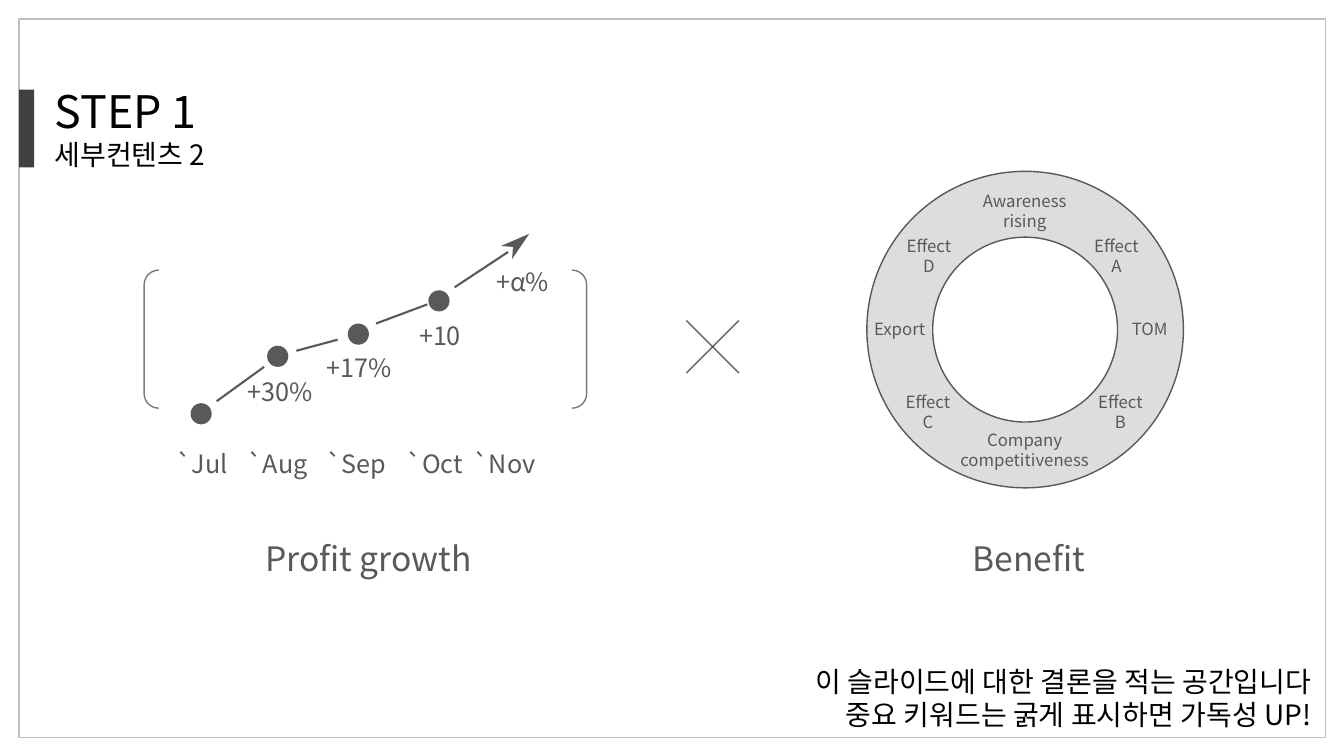
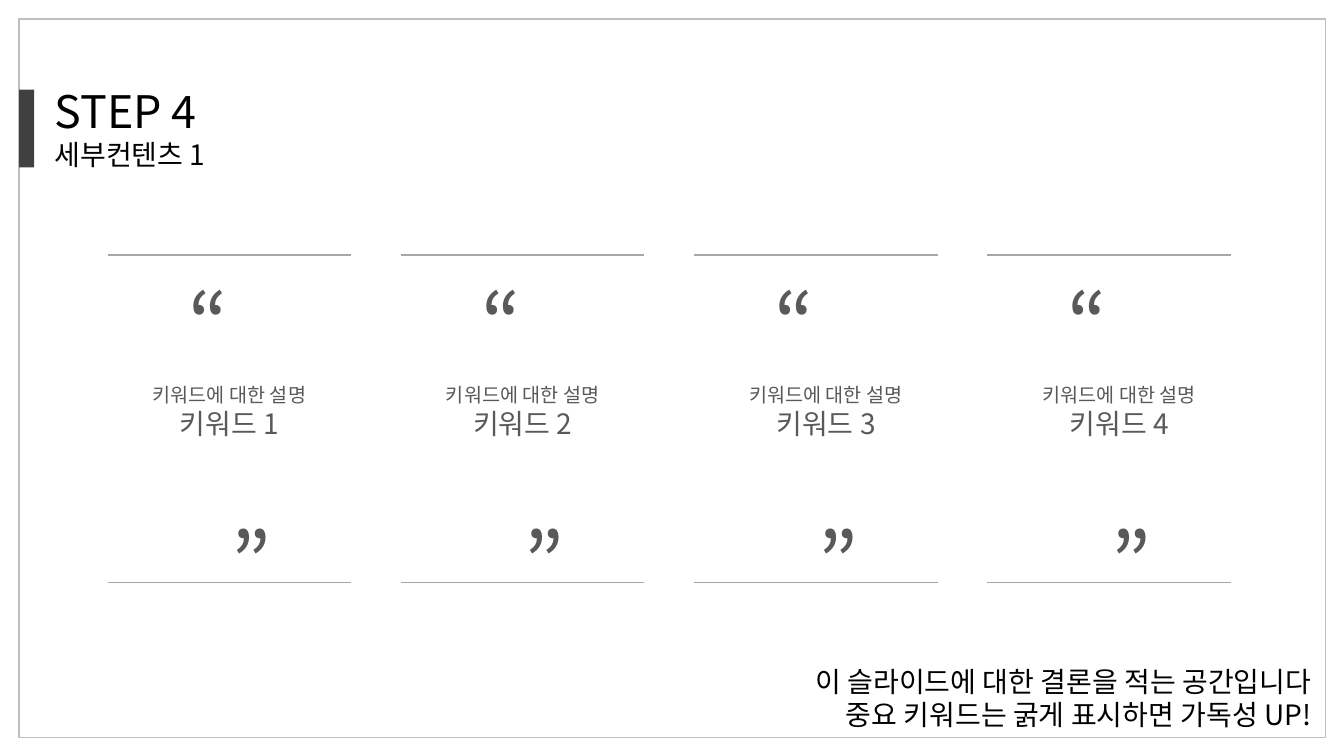
from dataclasses import dataclass

from pptx import Presentation
from pptx import util as u
from pptx.dml.color import RGBColor
from pptx.enum import shapes, text
from pptx.oxml.ns import qn
from lxml import etree


@dataclass(frozen=True)
class Theme:
    font: str = "Noto Sans CJK KR"
    black: str = "000000"
    dark: str = "404040"
    grey: str = "595959"
    rule: str = "A6A6A6"
    frame: str = "BFBFBF"
    quote: int = 60
    title: int = 32
    caption: int = 24
    body: int = 20
    value: int = 18
    note: int = 14
    small: int = 12


@dataclass(frozen=True)
class Box:
    x: float
    y: float
    w: float
    h: float

    def inner(self, x, y, w, h):
        return Box(self.x + x, self.y + y, w, h)

    def centred(self, cx, y, w, h):
        return self.inner(cx - w / 2, y, w, h)

    def point(self, x, y):
        return cells(self.x + x), cells(self.y + y)

    def emu(self):
        return [cells(v) for v in (self.x, self.y, self.w, self.h)]


T = Theme()
CELL = 0.1
PAGE = Box(0, 0, 133.33, 75)
LEFT, CENTRE, RIGHT = text.PP_ALIGN.LEFT, text.PP_ALIGN.CENTER, text.PP_ALIGN.RIGHT
CONCLUSION = ["이 슬라이드에 대한 결론을 적는 공간입니다", "중요 키워드는 굵게 표시하면 가독성 UP!"]


def cells(n):
    return u.Inches(n * CELL)


def rgb(value):
    return RGBColor.from_string(value)


def set_alpha(sp, percent):
    for color in sp.element.spPr.iter(qn("a:srgbClr")):
        etree.SubElement(color, qn("a:alpha")).set("val", str(percent * 1000))


def write(sp, lines, sizes, color=T.grey, align=CENTRE):
    tf = sp.text_frame
    tf.word_wrap = True
    tf.auto_size = text.MSO_AUTO_SIZE.NONE
    tf.vertical_anchor = text.MSO_ANCHOR.TOP
    tf.text = "\n".join(lines)
    for p, size in zip(tf.paragraphs, sizes):
        p.alignment = align
        for r in p.runs:
            r.font.name = T.font
            r.font.size = u.Pt(size)
            r.font.color.rgb = rgb(color)
            ea = etree.SubElement(r.font._element, qn("a:ea"))
            ea.set("typeface", T.font)


def label(s, box, lines, size, **style):
    sp = s.shapes.add_textbox(*box.emu())
    write(sp, lines, [size] * len(lines), **style)


def paint(sp, fill=None, line=None):
    sp.shadow.inherit = False
    if fill:
        sp.fill.solid()
        sp.fill.fore_color.rgb = rgb(fill)
    else:
        sp.fill.background()
    if line:
        sp.line.color.rgb = rgb(line)
        sp.line.width = u.Pt(1)
    else:
        sp.line.fill.background()
    return sp


def shape(s, kind, box, fill=None, line=None):
    return paint(s.shapes.add_shape(kind, *box.emu()), fill, line)


def line(s, start, end, color, width):
    sp = s.shapes.add_connector(shapes.MSO_CONNECTOR.STRAIGHT, *start, *end)
    sp.line.color.rgb = rgb(color)
    sp.line.width = u.Pt(width)
    etree.SubElement(sp.element.spPr, qn("a:effectLst"))
    return sp


def step_slide(prs, title, subtitle):
    s = prs.slides.add_slide(prs.slide_layouts.get_by_name("Title Only"))
    rect = shapes.MSO_SHAPE.RECTANGLE
    shape(s, rect, PAGE.inner(1.9, 1.9, 129.6, 71.3), line=T.frame)
    shape(s, rect, PAGE.inner(1.9, 8.9, 1.5, 7.7), fill=T.dark)
    sp = s.shapes.title
    sp.left, sp.top, sp.width, sp.height = PAGE.inner(4.4, 7.8, 53.1, 9.8).emu()
    write(sp, [title, subtitle], [T.title, T.body], T.black, LEFT)
    label(s, PAGE.inner(78, 65.4, 53.1, 7.7), CONCLUSION, T.body, color=T.black, align=RIGHT)
    return s


def caption(s, box, cx, y, words):
    label(s, box.centred(cx, y, 25.5, 5), [words], T.caption)


def growth_panel(s, box):
    sp = shape(s, shapes.MSO_SHAPE.DOUBLE_BRACKET, box.inner(0, 4.8, 43.9, 13.7), line=T.grey)
    sp.adjustments[0] = 0.106
    set_alpha(sp, 80)

    for cx, cy in [(5.65, 19.05), (13.25, 13.35), (21.25, 11.15), (29.25, 7.85)]:
        shape(s, shapes.MSO_SHAPE.OVAL, box.centred(cx, cy - 1.05, 2.1, 2.1), fill=T.grey)

    segments = [
        ((7.2, 17.8), (11.9, 14.4)),
        ((15.1, 12.8), (19.2, 11.7)),
        ((23, 10.1), (28.1, 8.2)),
        ((30.8, 6.5), (36.1, 3)),
    ]
    for start, end in segments:
        line(s, box.point(*start), box.point(*end), T.grey, 1.5)

    head = [box.point(*xy) for xy in [(35.4, 2.4), (38.2, 1.2), (36.5, 3.7), (36.6, 2.5)]]
    outline = s.shapes.build_freeform(*head[0])
    outline.add_line_segments(head[1:], close=True)
    paint(outline.convert_to_shape(), fill=T.grey)

    values = [("+30%", 9, 14.8), ("+17%", 16.9, 12.5), ("+10", 24.9, 9.3), ("+α%", 33.1, 3.9)]
    for words, x, y in values:
        label(s, box.inner(x, y, 8.9, 4), [words], T.value)
    months = [("`Jul", 1.6), ("`Aug", 9.1), ("`Sep", 16.9), ("`Oct", 24.7), ("`Nov", 31.6)]
    for words, x in months:
        label(s, box.inner(x, 22, 8.3, 4), [words], T.value)
    caption(s, box, 22.25, 30.9, "Profit growth")


def times_sign(s, box):
    for top, bottom in [(0, box.h), (box.h, 0)]:
        sp = line(s, box.point(0, top), box.point(box.w, bottom), T.dark, 1)
        set_alpha(sp, 80)


def benefit_ring(s, box):
    sp = shape(s, shapes.MSO_SHAPE.DONUT, box.inner(0, 0, 31.4, 31.4), fill=T.grey)
    sp.adjustments[0] = 0.208
    set_alpha(sp, 20)
    sp.line.color.rgb = rgb(T.grey)
    sp.line.width = u.Pt(1)

    effects = [
        (["Awareness", "rising"], 15.65, 1.4, 16.5),
        (["Company competitiveness"], 15.65, 25.1, 19.1),
        (["Export"], 3.25, 14.1, 9.9),
        (["TOM"], 28.05, 14.1, 9.9),
        (["Effect", "A"], 24.75, 5.9, 9.9),
        (["Effect", "B"], 25.15, 21.4, 9.9),
        (["Effect", "D"], 6.15, 5.9, 9.9),
        (["Effect", "C"], 6.05, 21.4, 9.9),
    ]
    for lines, cx, y, w in effects:
        label(s, box.centred(cx, y, w, 5), lines, T.small)
    caption(s, box, 16.05, 35.9, "Benefit")


def keyword_card(s, box, number, shift):
    for y in (0, box.h):
        line(s, box.point(0, y), box.point(box.w, y), T.rule, 0.75)
    for mark, cx, y in [("“", 9.95, 1.1), ("”", 14.25, 24.9)]:
        label(s, box.centred(cx, y, 43.1, 11.1), [mark], T.quote)
    sp = s.shapes.add_textbox(*box.centred(box.w / 2 + shift, 12.2, 26.2, 6.7).emu())
    write(sp, ["키워드에 대한 설명", f"키워드 {number}"], [T.note, T.body])


def keyword_row(s, box, shifts, gap):
    width = (box.w - gap * (len(shifts) - 1)) / len(shifts)
    for i, shift in enumerate(shifts):
        keyword_card(s, box.inner(i * (width + gap), 0, width, box.h), i + 1, shift)


def main():
    prs = Presentation()
    prs.slide_width, prs.slide_height = cells(PAGE.w), cells(PAGE.h)

    s = step_slide(prs, "STEP 1", "세부컨텐츠 2")
    growth_panel(s, Box(14.3, 22, 43.9, 35.9))
    times_sign(s, Box(68.1, 31.8, 5.2, 5.2))
    benefit_ring(s, Box(86, 17, 31.4, 40.9))

    s = step_slide(prs, "STEP 4", "세부컨텐츠 1")
    keyword_row(s, Box(10.7, 25.3, 111.4, 32.5), [0, 0, 1, 1], 4.95)

    prs.save("out.pptx")


if __name__ == "__main__":
    main()
